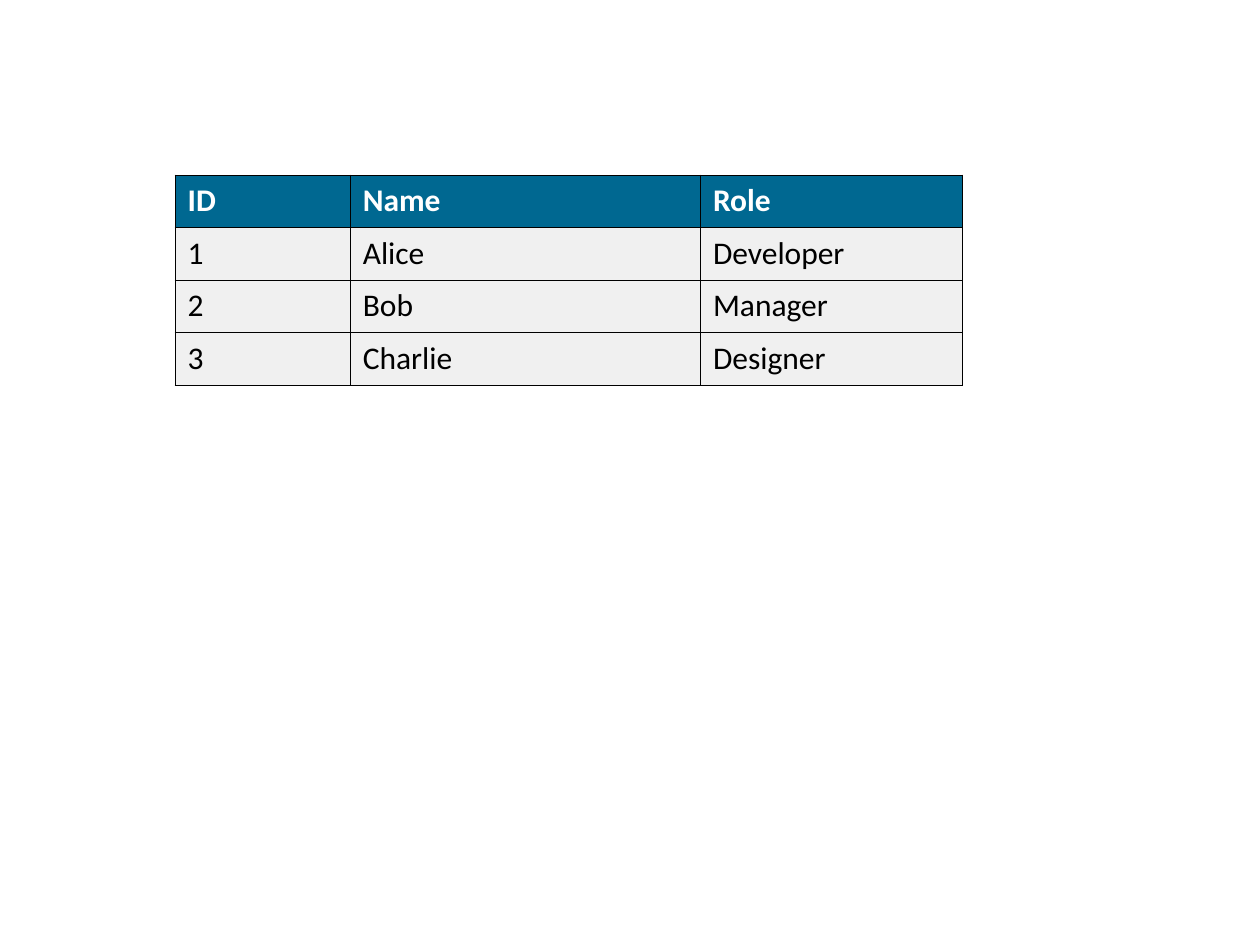
import pptx
import pptx.dml.color
import pptx.oxml.ns
import pptx.util
from lxml import etree

Cm, Pt = pptx.util.Cm, pptx.util.Pt

ROWS = [
    ("ID", "Name", "Role"),
    ("1", "Alice", "Developer"),
    ("2", "Bob", "Manager"),
    ("3", "Charlie", "Designer"),
]
WIDTHS = (3.53, 7.06, 5.29)
HEIGHT = 1.06
LEFT = TOP = 3.53
HEAD = {"fill": "006891", "ink": "FFFFFF", "bold": True}
BODY = {"fill": "F0F0F0", "ink": "000000", "bold": False}
EDGE = "000000"


def color(text):
    return pptx.dml.color.RGBColor.from_string(text)


def border(cell):
    """Draw a thin line on all four sides; call before setting the fill."""
    qn = pptx.oxml.ns.qn
    props = cell._tc.get_or_add_tcPr()
    for side in ("lnL", "lnR", "lnT", "lnB"):
        line = etree.SubElement(props, qn("a:" + side), w=str(Pt(0.75)))
        fill = etree.SubElement(line, qn("a:solidFill"))
        etree.SubElement(fill, qn("a:srgbClr"), val=EDGE)


def style(cell, text, look):
    border(cell)
    cell.fill.solid()
    cell.fill.fore_color.rgb = color(look["fill"])
    cell.text = text
    font = cell.text_frame.paragraphs[0].font
    font.name, font.size, font.bold = "Calibri", Pt(18), look["bold"]
    font.color.rgb = color(look["ink"])


def main():
    deck = pptx.Presentation()
    deck.slide_width, deck.slide_height = Cm(25.4), Cm(19.05)
    slide = deck.slides.add_slide(deck.slide_layouts[6])
    table = slide.shapes.add_table(
        len(ROWS), len(WIDTHS), Cm(LEFT), Cm(TOP),
        Cm(sum(WIDTHS)), Cm(HEIGHT * len(ROWS))).table
    for col, width in zip(table.columns, WIDTHS):
        col.width = Cm(width)
    for r, (row, texts) in enumerate(zip(table.rows, ROWS)):
        row.height = Cm(HEIGHT)
        for cell, text in zip(row.cells, texts):
            style(cell, text, BODY if r else HEAD)
    deck.save("out.pptx")


if __name__ == "__main__":
    main()
